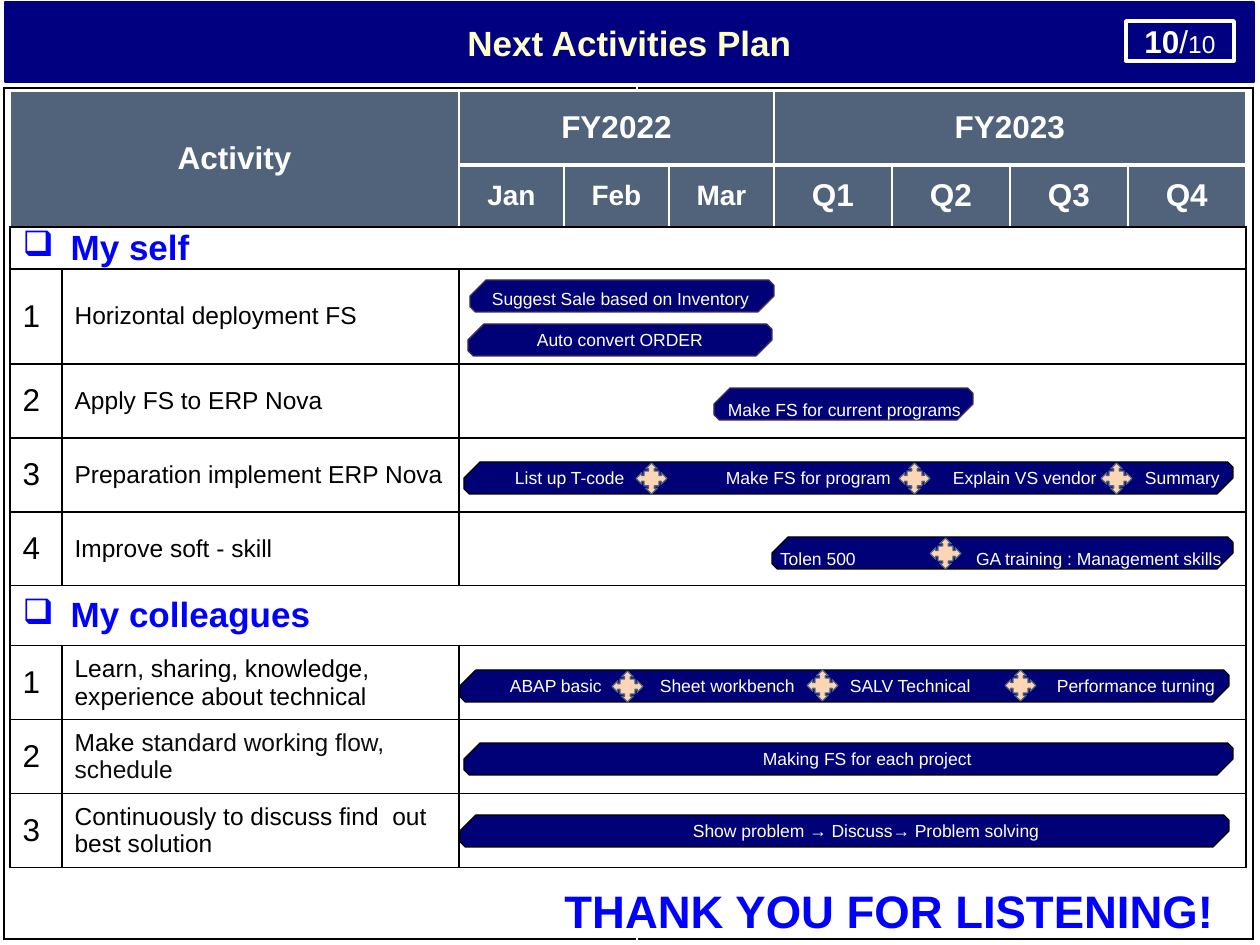
from dataclasses import dataclass
from itertools import product
from lxml import etree
from pptx import Presentation
from pptx import util as u
from pptx.dml.color import RGBColor
from pptx.enum import shapes, text
from pptx.oxml import ns

COLORS = {
    "navy": "000080", "bar": "000077", "slate": "51637B", "white": "FFFFFF",
    "cream": "FFFFCC", "peach": "FCD5B5", "blue": "0000FF", "black": "000000",
    "ink": "0D0D0D", "plum": "403152",
}
PX_PER_INCH = 126
MONTHS = ["Jan", "Feb", "Mar"]
QUARTERS = ["Q1", "Q2", "Q3", "Q4"]
COLUMNS = [52, 397] + [105] * 3 + [118] * 4
ROWS = [74, 62, 42, 95, 74, 74, 74, 60, 74, 74, 74]
SECTIONS = [
    ("My self", [
        [("Horizontal deployment FS", "black")],
        [("Apply FS to ERP Nova", "black")],
        [("Preparation implement ERP Nova", "black")],
        [("Improve soft - skill", "black")],
    ]),
    ("My colleagues", [
        [("Learn, sharing, knowledge, experience about technical", "black")],
        [("Make ", "black"), ("standard working flow, schedule", "ink")],
        [("Continuously to discuss find  out best solution", "black")],
    ]),
]
BARS = [
    ((470, 280, 304), "plum", 1.2, [(14, "Suggest Sale based on Inventory")]),
    ((468, 324, 304), "plum", 1, [(61, "Auto convert ORDER")]),
    ((714, 388, 259), "plum", 1.5, [(6, "Make FS for current programs")]),
    ((464, 743, 769), "black", 1, [(291, "Making FS for each project")]),
    ((460, 815, 769), "black", 1, [(225, "Show problem → Discuss→ Problem solving")]),
    ((464, 462, 769), "black", 1, [(43, "List up T-code"), (254, "Make FS for program"),
                                   (481, "Explain VS vendor"), (673, "Summary")]),
    ((772, 537, 461), "black", 1.5, [(0, "Tolen 500"), (196, "GA training : Management skills")]),
    ((460, 670, 769), "black", 1, [(42, "ABAP basic"), (192, "Sheet workbench"),
                                   (382, "SALV Technical"), (589, "Performance turning")]),
]
MILESTONES = [(636, 463), (899, 463), (1101, 463), (930, 538),
              (612, 671), (807, 670), (1005, 670)]


def px(length):
    return u.Emu(round(length * 914400 / PX_PER_INCH))


def rgb(name):
    return RGBColor.from_string(COLORS[name])


@dataclass
class SlideBuilder:
    """Holds the slide and its font, and adds each kind of element to it."""
    slide: object
    font: str = "Arial"

    def run(self, paragraph, content, size, color, bold=False):
        run = paragraph.add_run()
        run.text = content
        run.font.name = self.font
        run.font.size = u.Pt(size)
        run.font.bold = bold
        run.font.color.rgb = rgb(color)

    def shape(self, kind, box, fill, line, width=0.75):
        shape = self.slide.shapes.add_shape(kind, *map(px, box))
        shape.shadow.inherit = False
        if fill:
            shape.fill.solid()
            shape.fill.fore_color.rgb = rgb(fill)
        else:
            shape.fill.background()
        shape.line.color.rgb = rgb(line)
        shape.line.width = u.Pt(width)
        frame = shape.text_frame
        frame.margin_left = frame.margin_right = frame.margin_top = frame.margin_bottom = 0
        frame.vertical_anchor = text.MSO_ANCHOR.MIDDLE
        frame.paragraphs[0].alignment = text.PP_ALIGN.CENTER
        return shape

    def bar(self, left, top, width, line, spacing, labels):
        shape = self.shape(shapes.MSO_SHAPE.SNIP_2_DIAG_RECTANGLE,
                           (left, top, width, 32), "bar", line)
        shape.adjustments[0], shape.adjustments[1] = 0.5, 0.167
        paragraph = shape.text_frame.paragraphs[0]
        paragraph.alignment = text.PP_ALIGN.LEFT
        paragraph.line_spacing = float(spacing)
        stops = etree.SubElement(paragraph._p.get_or_add_pPr(), ns.qn("a:tabLst"))
        for offset, label in labels:
            if offset:
                etree.SubElement(stops, ns.qn("a:tab"), pos=str(px(offset)), algn="l")
            self.run(paragraph, "\t" + label if offset else label, 10, "white")

    def milestone(self, left, top):
        self.shape(shapes.MSO_SHAPE.QUAD_ARROW_CALLOUT, (left, top, 31, 31), "peach", "slate")

    def textbox(self, box, content, size, color):
        frame = self.slide.shapes.add_textbox(*map(px, box)).text_frame
        frame.word_wrap = True
        self.run(frame.paragraphs[0], content, size, color, True)

    def table(self, left, top, columns, rows):
        table = self.slide.shapes.add_table(
            len(rows), len(columns), *map(px, (left, top, sum(columns), sum(rows)))).table
        table.first_row = table.horz_banding = False
        for column, width in zip(table.columns, columns):
            column.width = px(width)
        for row, height in zip(table.rows, rows):
            row.height = px(height)
        return table

    def cell_style(self, cell, borders, fill=None):
        properties = cell._tc.get_or_add_tcPr()
        for side, (color, width) in borders.items():
            line = etree.SubElement(properties, ns.qn("a:ln" + side), w=str(u.Pt(width)))
            solid = etree.SubElement(line, ns.qn("a:solidFill"))
            etree.SubElement(solid, ns.qn("a:srgbClr"), val=COLORS[color])
        if fill:
            cell.fill.solid()
            cell.fill.fore_color.rgb = rgb(fill)
        else:
            cell.fill.background()
        cell.margin_left = cell.margin_right = u.Inches(0.1)
        cell.margin_top = cell.margin_bottom = 0
        cell.vertical_anchor = text.MSO_ANCHOR.MIDDLE

    def header_cell(self, cell, content, size=18):
        paragraph = cell.text_frame.paragraphs[0]
        paragraph.alignment = text.PP_ALIGN.CENTER
        self.run(paragraph, content, size, "white", True)

    def section_cell(self, cell, content):
        paragraph = cell.text_frame.paragraphs[0]
        properties = paragraph._p.get_or_add_pPr()
        properties.set("marL", str(px(48)))
        properties.set("indent", str(-px(48)))
        etree.SubElement(properties, ns.qn("a:buChar"), char="❑")
        self.run(paragraph, content, 20, "blue", True)

    def frame(self):
        table = self.table(4, 88, [633, 616], [851])
        for column, side in enumerate("LR"):
            self.cell_style(table.cell(0, column), {edge: ("black", 1) for edge in side + "TB"})

    def plan(self):
        table = self.table(10, 91, COLUMNS, ROWS)
        last = len(COLUMNS) - 1
        for row, column in product(range(len(ROWS)), range(len(COLUMNS))):
            header = row < 2
            borders = {side: ("white" if header else "black", 1) for side in "LRTB"}
            if header:
                borders["B"] = ("white", 3) if row == 0 and column > 1 else ("black", 1)
            if row == 1 and column > 1:
                borders["T"] = ("white", 3)
            self.cell_style(table.cell(row, column), borders, "slate" if header else "white")
        for start, end, content in [((0, 0), (1, 1), "Activity"), ((0, 2), (0, 4), "FY2022"),
                                    ((0, 5), (0, last), "FY2023")]:
            table.cell(*start).merge(table.cell(*end))
            self.header_cell(table.cell(*start), content)
        for column, period in enumerate(MONTHS + QUARTERS, 2):
            self.header_cell(table.cell(1, column), period, 16 if period in MONTHS else 18)
        row = 2
        for section, activities in SECTIONS:
            table.cell(row, 0).merge(table.cell(row, last))
            self.section_cell(table.cell(row, 0), section)
            for number, activity in enumerate(activities, 1):
                row += 1
                table.cell(row, 2).merge(table.cell(row, last))
                self.run(table.cell(row, 0).text_frame.paragraphs[0], str(number), 18, "black")
                for content, color in activity:
                    self.run(table.cell(row, 1).text_frame.paragraphs[0], content, 14, color)
            row += 1


def main():
    presentation = Presentation()
    presentation.slide_width, presentation.slide_height = px(1260), px(945)
    builder = SlideBuilder(presentation.slides.add_slide(presentation.slide_layouts[6]))
    rectangle = shapes.MSO_SHAPE.RECTANGLE
    title = builder.shape(rectangle, (5, 2, 1249, 80), "navy", "navy")
    builder.run(title.text_frame.paragraphs[0], "Next Activities Plan", 20, "cream", True)
    page = builder.shape(rectangle, (1126, 21, 108, 40), None, "white", 2)
    for content, size, bold in [("10", 18, True), ("/", 18, False), ("10", 14, False)]:
        builder.run(page.text_frame.paragraphs[0], content, size, "white", bold)
    builder.frame()
    builder.plan()
    for box, line, spacing, labels in BARS:
        builder.bar(*box, line, spacing, labels)
    for left, top in MILESTONES:
        builder.milestone(left, top)
    builder.textbox((552, 877, 683, 68), "THANK YOU FOR LISTENING!", 26, "blue")
    presentation.save("out.pptx")


if __name__ == "__main__":
    main()
